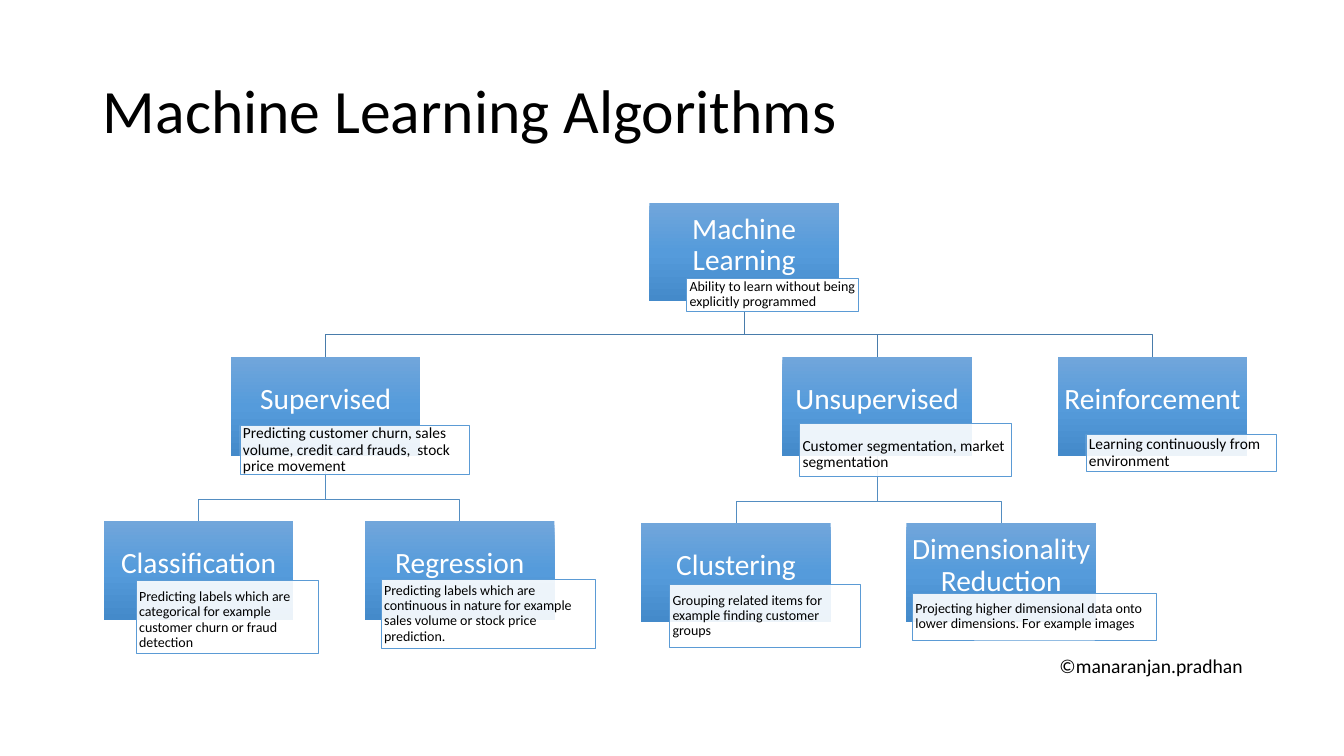
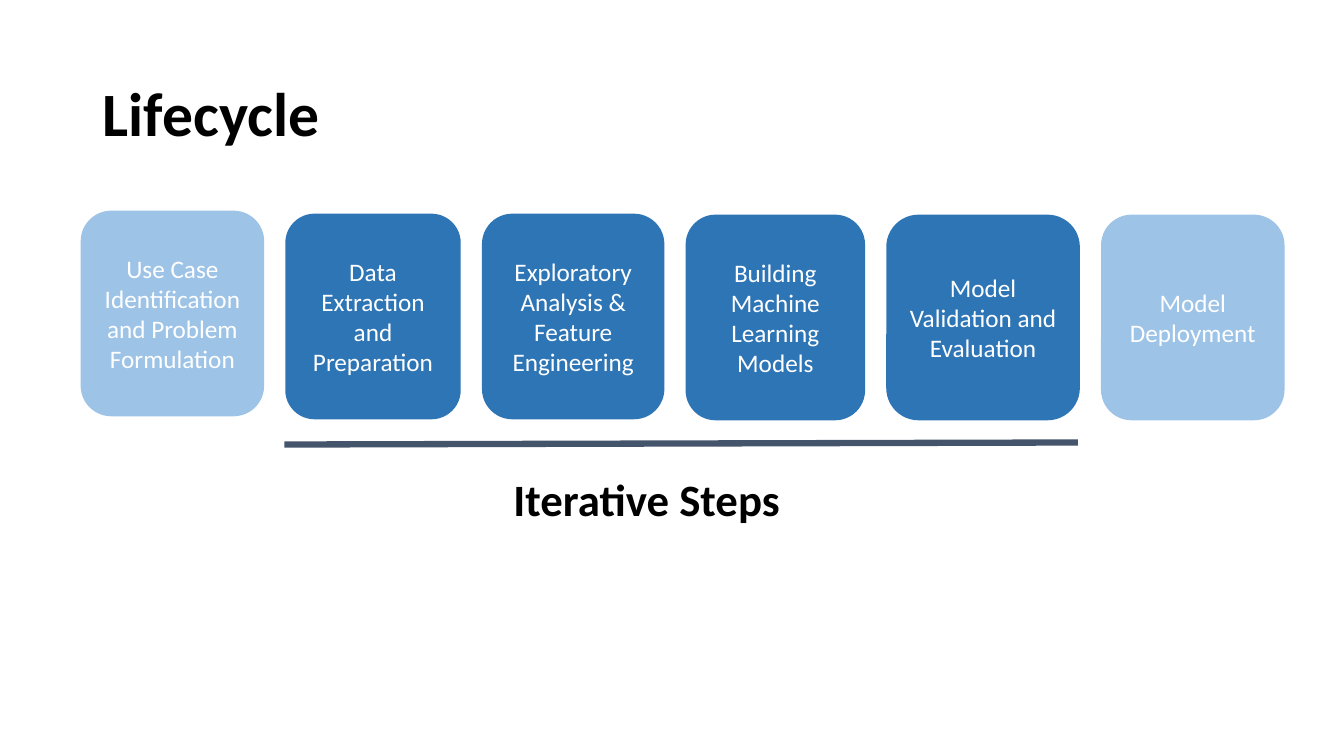
from copy import deepcopy
from dataclasses import dataclass, field

from lxml import etree
from pptx import Presentation
from pptx.dml.color import RGBColor
from pptx.enum import shapes, text
from pptx.oxml.ns import qn
from pptx.util import Inches, Pt


class Theme:
    font = "Calibri"
    black = RGBColor.from_string("000000")
    white = RGBColor.from_string("FFFFFF")
    node_gradient = [RGBColor.from_string(c) for c in ("71A6DB", "559BDB", "448ACA")]
    caption_line = RGBColor.from_string("5B9BD5")
    branch_colors = [RGBColor.from_string(c) for c in ("497CAB", "538DC1")]
    core_step = RGBColor.from_string("2E75B6")
    outer_step = RGBColor.from_string("9DC3E6")
    bracket = RGBColor.from_string("44546A")
    title_size, subtitle_size = 44, 32
    node_size, step_size, credit_size = 21, 18, 14


@dataclass
class Node:
    """left and top are relative to the tree, caption_box to the node."""
    label: str
    left: float
    top: float
    caption: str
    caption_box: tuple
    caption_size: int = 10
    caption_inset_top: float = 0.01
    caption_opacity: int = 90
    children: list = field(default_factory=list)


NODE_WIDTH, NODE_HEIGHT, BEND = 1.88, 0.98, 0.22

ALGORITHMS = Node(
    "Machine Learning", 5.41, 0, "Ability to learn without being explicitly programmed",
    (0.37, 0.75, 1.7, 0.33), caption_opacity=100, children=[
        Node("Supervised", 1.26, 1.53,
             "Predicting customer churn, sales volume, credit card frauds,  stock price movement",
             (0.09, 0.68, 2.28, 0.49), 11, children=[
                 Node("Classification", 0, 3.16,
                      "Predicting labels which are categorical for example "
                      "customer churn or fraud detection",
                      (0.32, 0.59, 1.81, 0.72), caption_inset_top=0.07),
                 Node("Regression", 2.59, 3.16,
                      "Predicting labels which are continuous in nature for example "
                      "sales volume or stock price prediction.",
                      (0.16, 0.58, 2.13, 0.68)),
             ]),
        Node("Unsupervised", 6.73, 1.53, "Customer segmentation, market segmentation",
             (0.17, 0.66, 2.1, 0.53), 11, 0.1, children=[
                 Node("Clustering", 5.33, 3.18,
                      "Grouping related items for example finding customer groups",
                      (0.28, 0.61, 1.89, 0.62)),
                 Node("Dimensionality Reduction", 7.96, 3.18,
                      "Projecting higher dimensional data onto lower dimensions. "
                      "For example images",
                      (0.06, 0.7, 2.42, 0.46)),
             ]),
        Node("Reinforcement", 9.46, 1.53, "Learning continuously from environment",
             (0.28, 0.77, 1.89, 0.37), 11),
    ])

# Label, top offset, width, colour
STEPS = [
    ("Use Case Identification and Problem Formulation", 0, 1.82, Theme.outer_step),
    ("Data Extraction and Preparation", 0.03, 1.74, Theme.core_step),
    ("Exploratory Analysis & Feature Engineering", 0.03, 1.81, Theme.core_step),
    ("Building Machine Learning Models", 0.04, 1.78, Theme.core_step),
    ("Model Validation and Evaluation", 0.04, 1.92, Theme.core_step),
    ("Model Deployment", 0.04, 1.82, Theme.outer_step),
]
STEP_GAP, STEP_HEIGHT = 0.21, 2.04


def write(frame, words, size, color=Theme.black, bold=False,
          align=text.PP_ALIGN.LEFT, anchor=text.MSO_ANCHOR.MIDDLE, spacing=None, insets=None):
    """Fill a text frame; insets are left, top, right, bottom in inches."""
    frame.word_wrap = True
    frame.vertical_anchor = anchor
    if insets:
        (frame.margin_left, frame.margin_top,
         frame.margin_right, frame.margin_bottom) = map(Inches, insets)
    paragraph = frame.paragraphs[0]
    paragraph.text = words
    paragraph.alignment = align
    if spacing:
        paragraph.line_spacing = spacing
    font = paragraph.font
    font.name, font.size, font.bold = Theme.font, Pt(size), bold
    font.color.rgb = color


def add_title_slide(deck, title, top, bold=False):
    slide = deck.slides.add_slide(deck.slide_layouts[5])
    heading = slide.shapes.title
    heading.left, heading.top, heading.width, heading.height = map(
        Inches, (0.92, top, 11.5, 1.45))
    write(heading.text_frame, title, Theme.title_size, bold=bold, spacing=0.9)
    return slide


def add_box(slide, preset, box):
    shape = slide.shapes.add_shape(preset, *map(Inches, box))
    shape.shadow.inherit = False
    shape.line.fill.background()
    return shape


def add_label(slide, box, words, size, **style):
    label = slide.shapes.add_textbox(*map(Inches, box))
    write(label.text_frame, words, size, anchor=text.MSO_ANCHOR.TOP, **style)


def fill_gradient(shape, colors):
    """Fill from top to bottom with three evenly spaced colours."""
    shape.fill.gradient()
    shape.fill.gradient_angle = 270
    stops = shape._element.spPr.find(".//" + qn("a:gsLst"))
    stops.insert(1, deepcopy(stops[0]))
    for stop, position, color in zip(shape.fill.gradient_stops, (0, 0.5, 1), colors):
        stop.position = position
        stop.color.rgb = color


def set_opacity(shape, percent):
    color = shape._element.spPr.find(qn("a:solidFill"))[0]
    etree.SubElement(color, qn("a:alpha")).set("val", str(percent * 1000))


def add_branches(slide, node, left, top, level=0):
    """Draw the lines from a node down to its descendants."""
    start_x = left + node.left + NODE_WIDTH / 2
    start_y = top + node.top + NODE_HEIGHT
    for child in node.children:
        end_x, end_y = left + child.left + NODE_WIDTH / 2, top + child.top
        bend_y = end_y - BEND
        route = [(start_x, bend_y), (end_x, bend_y), (end_x, end_y)]
        builder = slide.shapes.build_freeform(Inches(start_x), Inches(start_y))
        builder.add_line_segments([(Inches(x), Inches(y)) for x, y in route], close=False)
        branch = builder.convert_to_shape()
        branch.shadow.inherit = False
        branch.fill.background()
        branch.line.color.rgb = Theme.branch_colors[level]
        branch.line.width = Pt(0.5)
        add_branches(slide, child, left, top, level + 1)


def add_nodes(slide, node, left, top):
    """Draw a node with its caption, then its descendants."""
    x, y = left + node.left, top + node.top
    block = add_box(slide, shapes.MSO_SHAPE.RECTANGLE, (x, y, NODE_WIDTH, NODE_HEIGHT))
    fill_gradient(block, Theme.node_gradient)
    write(block.text_frame, node.label, Theme.node_size, Theme.white,
          align=text.PP_ALIGN.CENTER, spacing=0.9, insets=(0.01, 0.01, 0.01, 0.14))

    dx, dy, width, height = node.caption_box
    caption = add_box(slide, shapes.MSO_SHAPE.RECTANGLE, (x + dx, y + dy, width, height))
    caption.fill.solid()
    caption.fill.fore_color.rgb = Theme.white
    set_opacity(caption, node.caption_opacity)
    caption.line.color.rgb = Theme.caption_line
    caption.line.width = Pt(0.5)
    write(caption.text_frame, node.caption, node.caption_size, spacing=0.9,
          insets=(0.03, node.caption_inset_top, 0.03, 0.01))
    for child in node.children:
        add_nodes(slide, child, left, top)


def add_steps(slide, left, top):
    for label, drop, width, color in STEPS:
        step = add_box(slide, shapes.MSO_SHAPE.ROUNDED_RECTANGLE,
                       (left, top + drop, width, STEP_HEIGHT))
        step.fill.solid()
        step.fill.fore_color.rgb = color
        write(step.text_frame, label, Theme.step_size, Theme.white,
              align=text.PP_ALIGN.CENTER)
        left += width + STEP_GAP


def add_iteration_mark(slide, left, top, width):
    """Underline the repeated steps and name them."""
    rule = slide.shapes.add_connector(
        shapes.MSO_CONNECTOR.STRAIGHT,
        *map(Inches, (left, top + 0.02, left + width, top)))
    etree.SubElement(rule._element.spPr, qn("a:effectLst"))
    rule.line.color.rgb = Theme.bracket
    rule.line.width = Pt(4.5)
    add_label(slide, (left - 0.14, top + 0.24, 7.47, 0.64), "Iterative Steps",
              Theme.subtitle_size, bold=True, align=text.PP_ALIGN.CENTER)


def build_algorithms(deck):
    slide = add_title_slide(deck, "Machine Learning Algorithms", 0.4)
    left, top = 1.03, 2.01
    add_branches(slide, ALGORITHMS, left, top)
    add_nodes(slide, ALGORITHMS, left, top)
    add_label(slide, (10.41, 6.44, 2.66, 0.34), "©manaranjan.pradhan", Theme.credit_size)


def build_lifecycle(deck):
    slide = add_title_slide(deck, "Lifecycle", 0.43, bold=True)
    add_steps(slide, 0.8, 2.09)
    add_iteration_mark(slide, 2.82, 4.39, 7.87)


def main():
    deck = Presentation()
    deck.slide_width, deck.slide_height = Inches(13.33), Inches(7.5)
    build_algorithms(deck)
    build_lifecycle(deck)
    deck.save("out.pptx")


if __name__ == "__main__":
    main()
